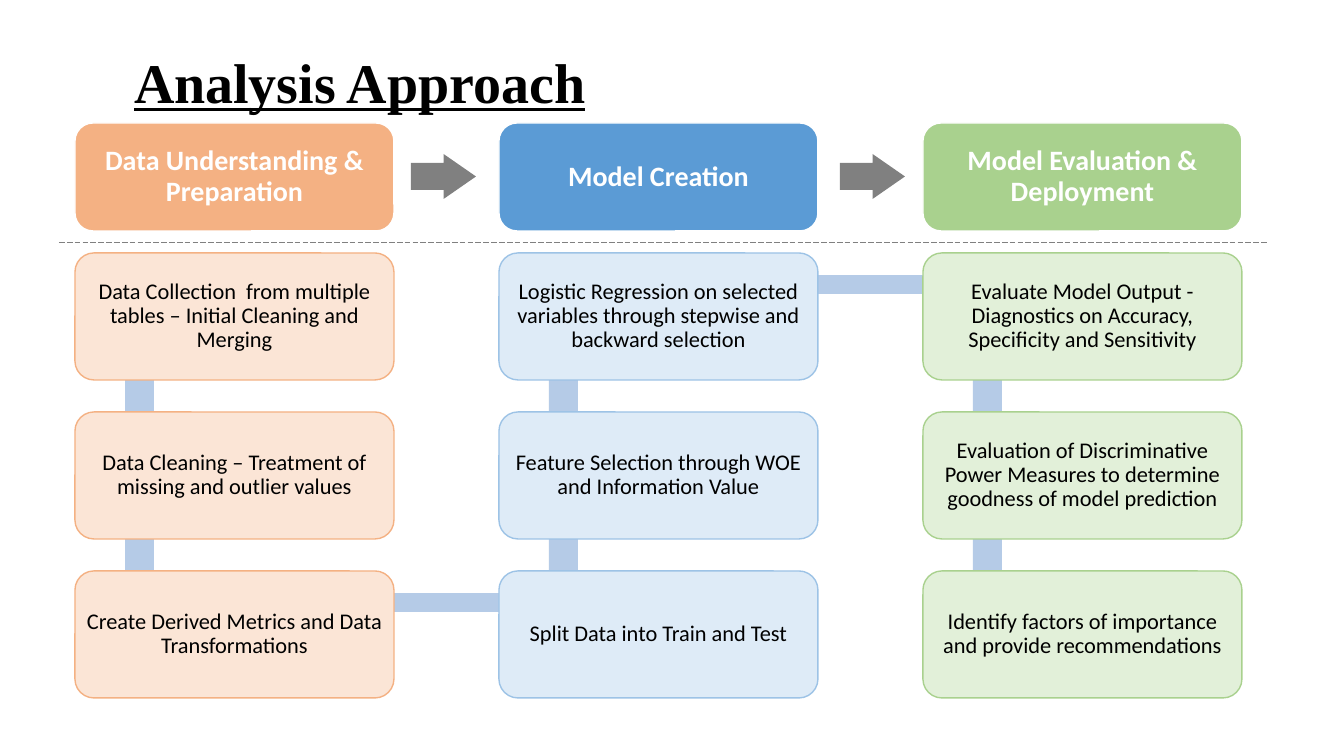
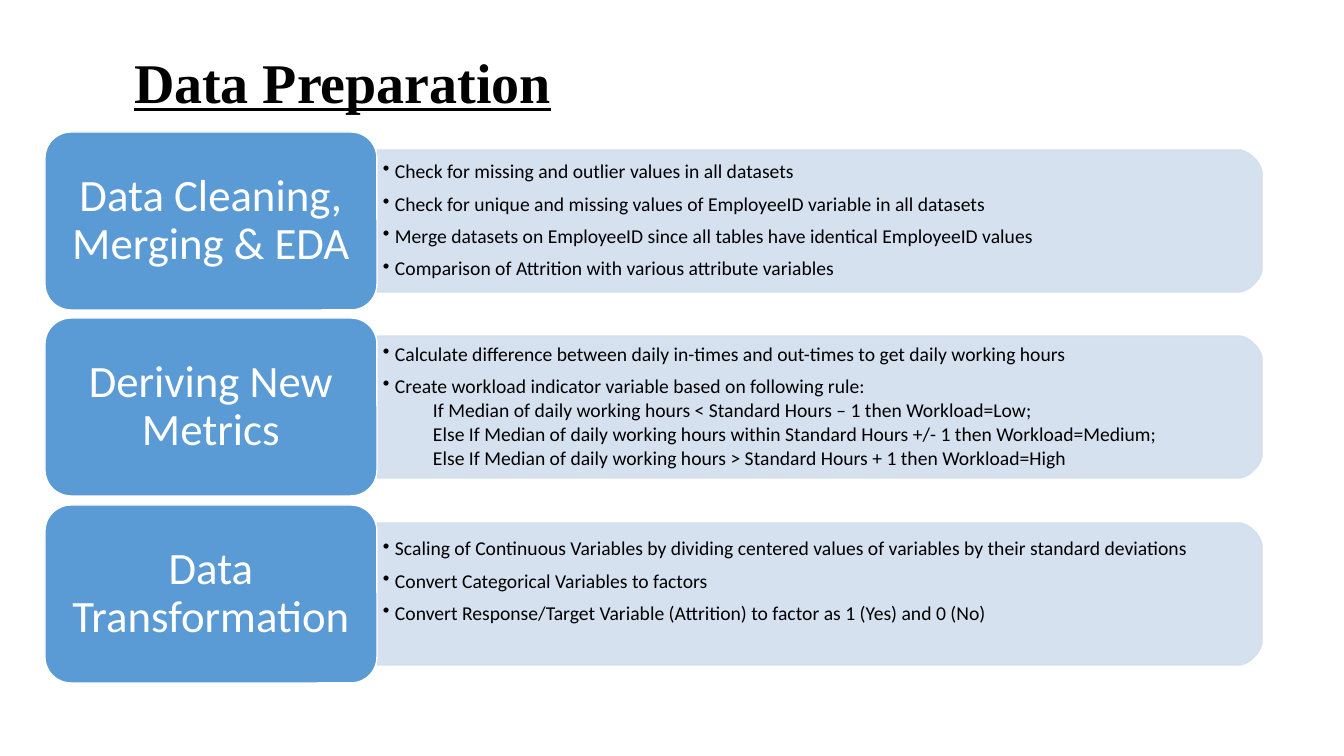
from dataclasses import dataclass
from math import cos, pi, sin

from lxml.etree import SubElement
from pptx import Presentation
from pptx.dml.color import RGBColor
from pptx.enum.dml import MSO_LINE
from pptx.enum.shapes import MSO_CONNECTOR, MSO_SHAPE
from pptx.enum.text import MSO_ANCHOR, PP_ALIGN
from pptx.oxml.ns import qn
from pptx.util import Emu, Pt

SLIDE_WIDTH, SLIDE_HEIGHT = 1344, 756
EMU_PER_PIXEL = 12192000 / SLIDE_WIDTH

BLACK, WHITE, GRAY = "000000", "FFFFFF", "808080"
BLUE, LINK_BLUE, PANEL_BLUE = "5B9BD5", "B5CBE7", "D2DEEF"
BODY_FONT, TITLE_FONT = "Calibri", "Times New Roman"


@dataclass(frozen=True)
class Box:
    """A rectangle in pixels."""
    left: int
    top: int
    width: int
    height: int


@dataclass(frozen=True)
class BoxStyle:
    """The look of a rounded text box; insets are left, top, right, bottom."""
    fill: str
    line: str
    text_color: str
    size: int
    radius: int
    insets: tuple[int, int, int, int]
    bold: bool = False


@dataclass(frozen=True)
class Phase:
    """A column of the approach: a heading and its steps from top to bottom."""
    heading: str
    color: str
    step_fill: str
    step_line: str
    steps: tuple[str, ...]


@dataclass(frozen=True)
class Topic:
    """A row of the preparation slide: a tab, its bullets and nested lines."""
    heading: str
    bullets: tuple[str, ...]
    nested: tuple[str, ...] = ()
    bottom_inset: int = 10


PHASES = (
    Phase("Data Understanding & Preparation", "F4B183", "FBE5D6", "F4B183", (
        "Data Collection  from multiple tables – Initial Cleaning and Merging",
        "Data Cleaning – Treatment of missing and outlier values",
        "Create Derived Metrics and Data Transformations",
    )),
    Phase("Model Creation", BLUE, "DEEBF7", "9DC3E6", (
        "Logistic Regression on selected variables through stepwise and backward selection",
        "Feature Selection through WOE and Information Value",
        "Split Data into Train and Test",
    )),
    Phase("Model Evaluation & Deployment", "A9D18E", "E2F0D9", "A9D18E", (
        "Evaluate Model Output - Diagnostics on Accuracy, Specificity and Sensitivity",
        "Evaluation of Discriminative Power Measures to determine goodness of model prediction",
        "Identify factors of importance and provide recommendations",
    )),
)

TOPICS = (
    Topic("Data Cleaning, Merging & EDA", (
        "Check for missing and outlier values in all datasets",
        "Check for unique and missing values of EmployeeID variable in all datasets",
        "Merge datasets on EmployeeID since all tables have identical EmployeeID values",
        "Comparison of Attrition with various attribute variables",
    )),
    Topic("Deriving New Metrics", (
        "Calculate difference between daily in-times and out-times to get daily working hours",
        "Create workload indicator variable based on following rule:",
    ), (
        "If Median of daily working hours < Standard Hours – 1 then Workload=Low;",
        "Else If Median of daily working hours within Standard Hours +/- 1 then Workload=Medium;",
        "Else If Median of daily working hours > Standard Hours + 1 then Workload=High",
    )),
    Topic("Data Transformation", (
        "Scaling of Continuous Variables by dividing centered values of variables "
        "by their standard deviations",
        "Convert Categorical Variables to factors",
        "Convert Response/Target Variable (Attrition) to factor as 1 (Yes) and 0 (No)",
    ), bottom_inset=34),
)

COLUMN_LEFT, COLUMN_PITCH, COLUMN_WIDTH = 75, 424, 319
STEP_TOP, STEP_PITCH, STEP_HEIGHT = 253, 159, 127
TAB_STYLE = BoxStyle(BLUE, WHITE, WHITE, 32, 26, (18, 9, 18, 9))


def px(pixels: float) -> Emu:
    """Turn pixels into EMU."""
    return Emu(round(pixels * EMU_PER_PIXEL))


def color(value: str) -> RGBColor:
    """Turn a hex string into a colour."""
    return RGBColor.from_string(value)


def place(box: Box) -> tuple[Emu, Emu, Emu, Emu]:
    """Return a box as the four lengths that python-pptx takes."""
    return px(box.left), px(box.top), px(box.width), px(box.height)


def paint(shape, fill: str, line: str | None = None) -> None:
    """Set a flat fill and a one-point outline, or no outline."""
    shape.shadow.inherit = False
    shape.fill.solid()
    shape.fill.fore_color.rgb = color(fill)
    if line is None:
        shape.line.fill.background()
    else:
        shape.line.color.rgb = color(line)
        shape.line.width = Pt(1)


def set_frame(shape, insets: tuple[int, int, int, int]):
    """Wrap and centre the text vertically; return the text frame."""
    frame = shape.text_frame
    frame.word_wrap = True
    frame.vertical_anchor = MSO_ANCHOR.MIDDLE
    (frame.margin_left, frame.margin_top,
     frame.margin_right, frame.margin_bottom) = map(px, insets)
    return frame


def style_paragraph(paragraph, size: int, text_color: str, align=PP_ALIGN.LEFT,
                    font: str = BODY_FONT, bold: bool = False,
                    underline: bool = False) -> None:
    """Set alignment, line spacing and the font of every run."""
    paragraph.alignment = align
    paragraph.line_spacing = 0.9
    for run in paragraph.runs:
        run.font.name = font
        run.font.size = Pt(size)
        run.font.bold = bold
        run.font.underline = underline
        run.font.color.rgb = color(text_color)


def add_title(slide, text: str) -> None:
    """Add the underlined slide title."""
    shape = slide.shapes.add_textbox(*place(Box(124, 38, 1027, 95)))
    frame = set_frame(shape, (10, 5, 10, 5))
    frame.text = text
    style_paragraph(frame.paragraphs[0], 40, BLACK, font=TITLE_FONT,
                    bold=True, underline=True)


def add_rounded_box(slide, box: Box, text: str, style: BoxStyle) -> None:
    """Add a rounded rectangle with centred text."""
    shape = slide.shapes.add_shape(MSO_SHAPE.ROUNDED_RECTANGLE, *place(box))
    shape.adjustments[0] = style.radius / min(box.width, box.height)
    paint(shape, style.fill, style.line)
    frame = set_frame(shape, style.insets)
    frame.text = text
    style_paragraph(frame.paragraphs[0], style.size, style.text_color,
                    PP_ALIGN.CENTER, bold=style.bold)


def add_link(slide, box: Box) -> None:
    """Add a plain bar that links two steps."""
    paint(slide.shapes.add_shape(MSO_SHAPE.RECTANGLE, *place(box)), LINK_BLUE)


def add_arrow(slide, left: int) -> None:
    """Add a block arrow between two headings."""
    shape = slide.shapes.add_shape(MSO_SHAPE.RIGHT_ARROW, *place(Box(left, 154, 65, 45)))
    shape.adjustments[0] = 0.6
    shape.adjustments[1] = 0.72
    paint(shape, GRAY)


def add_divider(slide) -> None:
    """Add the dashed line under the headings."""
    line = slide.shapes.add_connector(MSO_CONNECTOR.STRAIGHT, px(59), px(242), px(1267), px(242))
    line.line.color.rgb = color(GRAY)
    line.line.width = Pt(0.5)
    line.line.dash_style = MSO_LINE.LONG_DASH
    SubElement(line._element.spPr, qn("a:effectLst"))


def add_panel(slide, box: Box, topic: Topic) -> None:
    """Add a translucent panel, rounded on its right side, with the bullets."""
    radius, arc_steps = 26, 10
    right, bottom = box.left + box.width, box.top + box.height
    angles = [pi / 2 * step / arc_steps for step in range(arc_steps + 1)]
    upper = [(right - radius + radius * sin(angle), box.top + radius - radius * cos(angle))
             for angle in angles]
    lower = [(x, box.top + bottom - y) for x, y in reversed(upper)]
    builder = slide.shapes.build_freeform(box.left, box.top, scale=EMU_PER_PIXEL)
    builder.add_line_segments(upper + lower + [(box.left, bottom)], close=True)
    shape = builder.convert_to_shape()
    paint(shape, PANEL_BLUE, PANEL_BLUE)
    for tone in shape._element.spPr.iter(qn("a:srgbClr")):
        SubElement(tone, qn("a:alpha"), val="90000")

    frame = set_frame(shape, (6, 10, 13, topic.bottom_inset))
    frame.text = "\n".join(topic.bullets + topic.nested)
    for index, paragraph in enumerate(frame.paragraphs):
        is_bullet = index < len(topic.bullets)
        style_paragraph(paragraph, 14, BLACK)
        paragraph.level = 1 if is_bullet else 2
        paragraph.space_before = Pt(6 if is_bullet else 0)
        paragraph.space_after = Pt(2)
        properties = paragraph._p.get_or_add_pPr()
        properties.set("marL", str(px(12 if is_bullet else 50)))
        properties.set("indent", str(px(-12 if is_bullet else 0)))
        if is_bullet:
            SubElement(properties, qn("a:buChar"), char="•")
        else:
            SubElement(properties, qn("a:buNone"))


def build_approach(slide) -> None:
    """Draw three phases with their linked steps."""
    add_title(slide, "Analysis Approach")
    for column, phase in enumerate(PHASES):
        for row in range(len(phase.steps) - 1):
            add_link(slide, Box(125 + column * COLUMN_PITCH, 285 + row * STEP_PITCH,
                                29, STEP_PITCH))
    for column, row in ((0, 2), (1, 0)):
        add_link(slide, Box(140 + column * COLUMN_PITCH, 275 + row * STEP_PITCH, 422, 19))

    for column, phase in enumerate(PHASES):
        left = COLUMN_LEFT + column * COLUMN_PITCH
        step_style = BoxStyle(phase.step_fill, phase.step_line, BLACK, 16, 19, (5, 5, 5, 5))
        for row, step in enumerate(phase.steps):
            box = Box(left, STEP_TOP + row * STEP_PITCH, COLUMN_WIDTH, STEP_HEIGHT)
            add_rounded_box(slide, box, step, step_style)
        heading_style = BoxStyle(phase.color, WHITE, WHITE, 20, 18, (9, 9, 9, 9), bold=True)
        add_rounded_box(slide, Box(left, 123, COLUMN_WIDTH, 108), phase.heading, heading_style)
    for left in (411, 840):
        add_arrow(slide, left)
    add_divider(slide)


def build_preparation(slide) -> None:
    """Draw one tab and one panel for each topic."""
    add_title(slide, "Data Preparation")
    for row, topic in enumerate(TOPICS):
        offset = row * 373 // 2
        add_panel(slide, Box(377, 150 + offset, 885, 142), topic)
        add_rounded_box(slide, Box(45, 132 + offset, 332, 178), topic.heading, TAB_STYLE)


def main() -> None:
    """Build and save the presentation."""
    presentation = Presentation()
    presentation.slide_width = px(SLIDE_WIDTH)
    presentation.slide_height = px(SLIDE_HEIGHT)
    blank_layout = presentation.slide_layouts[6]
    for build in (build_approach, build_preparation):
        build(presentation.slides.add_slide(blank_layout))
    presentation.save("out.pptx")


main()
